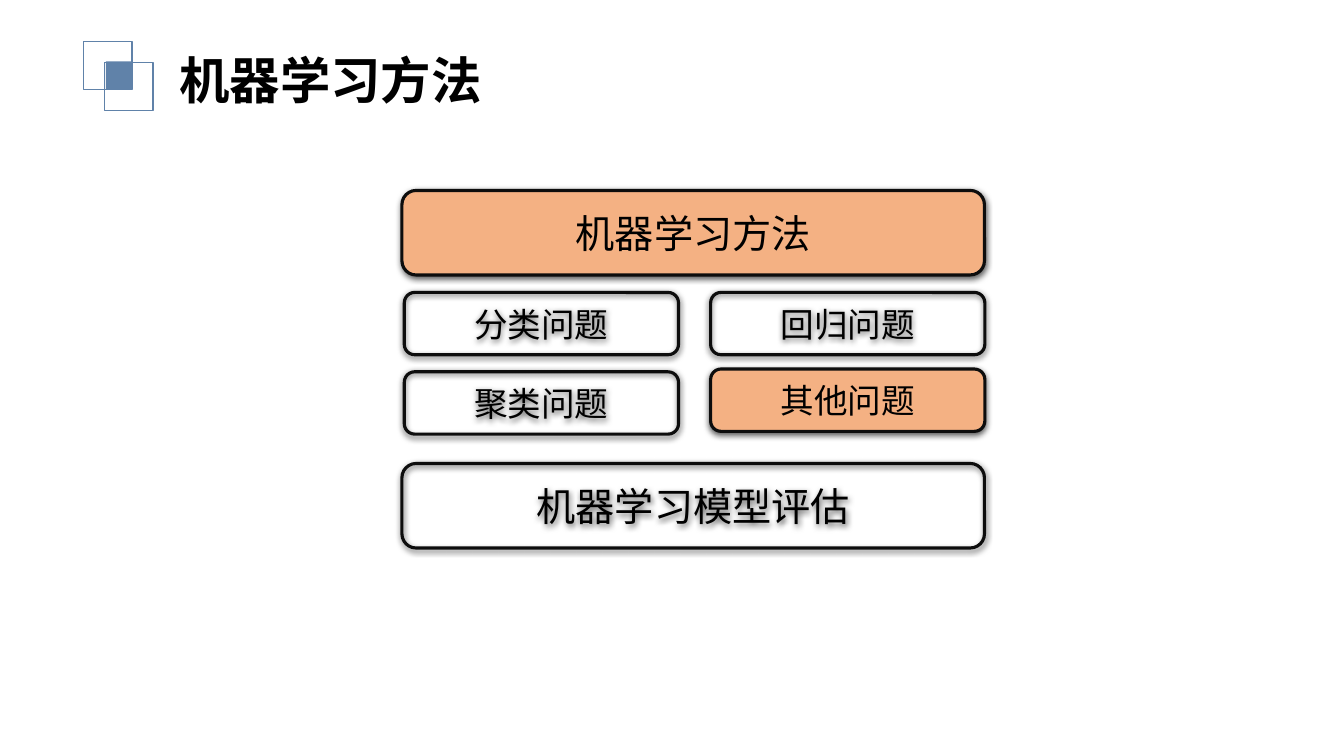
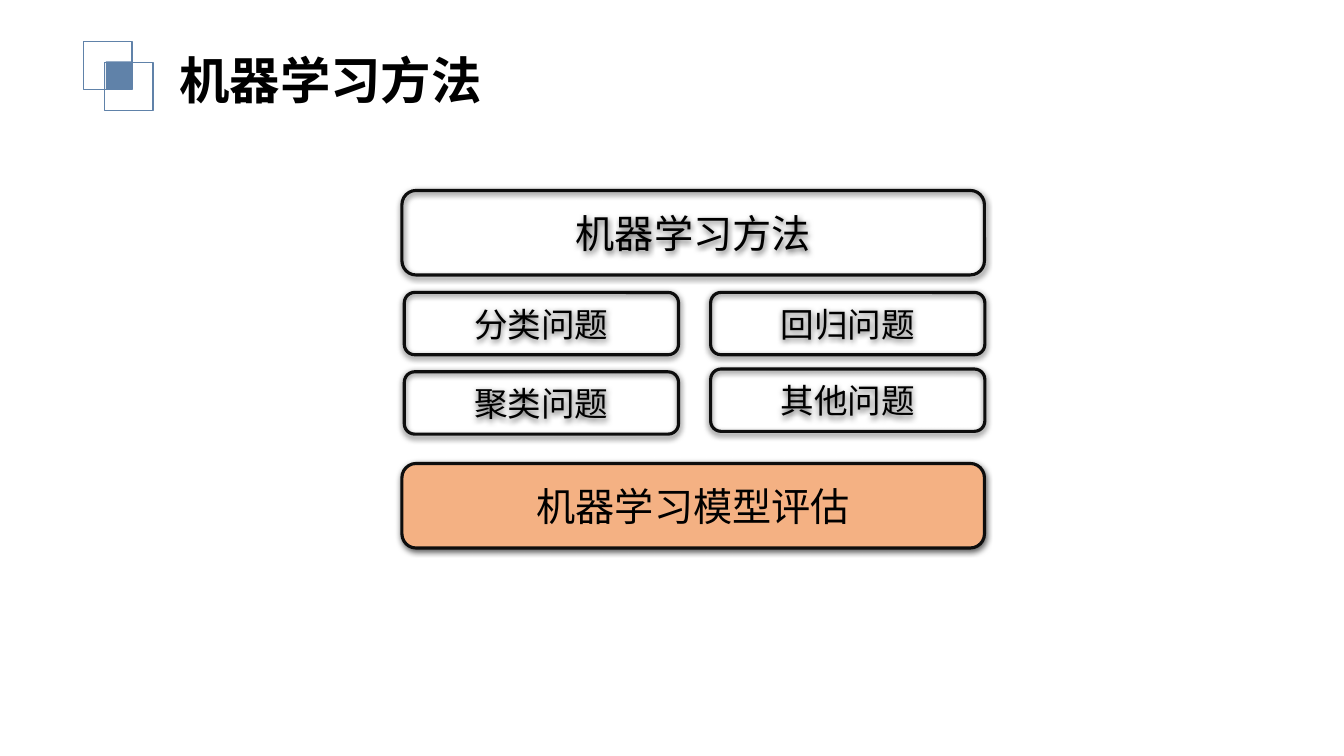
from dataclasses import dataclass

from lxml.etree import SubElement
from pptx import Presentation
from pptx.dml.color import RGBColor
from pptx.enum.shapes import MSO_SHAPE
from pptx.enum.text import MSO_ANCHOR, MSO_AUTO_SIZE, PP_ALIGN
from pptx.oxml.ns import qn
from pptx.shapes.autoshape import Shape
from pptx.slide import Slide
from pptx.text.text import TextFrame
from pptx.util import Cm, Pt


@dataclass(frozen=True)
class Theme:
    font: str = "Noto Sans CJK SC"
    text: str = "000000"
    accent: str = "6082A9"
    highlight: str = "F4B183"
    outline: str = "0D0D0D"
    shadow: str = "000000"
    title_size: float = 36
    bar_size: float = 28
    topic_size: float = 24
    emblem_line: float = 1
    box_line: float = 2.25


@dataclass(frozen=True)
class Frame:
    """A rectangle in centimetres."""
    left: float
    top: float
    width: float
    height: float


@dataclass(frozen=True)
class Box:
    text: str
    frame: Frame
    size: float


THEME = Theme()
TITLE = "机器学习方法"
EVALUATION = "机器学习模型评估"
OTHER = "其他问题"


# Overview layout: two wide bars around a grid of four topics
def bar(text: str, top: float) -> Box:
    return Box(text, Frame(10.13, top, 14.68, 2.13), THEME.bar_size)


def topic(text: str, column: int, top: float) -> Box:
    return Box(text, Frame(10.19 + column * 7.72, top, 6.91, 1.57), THEME.topic_size)


BOXES = (
    bar(TITLE, 4.8),
    topic("分类问题", 0, 7.37),
    topic("回归问题", 1, 7.37),
    topic("聚类问题", 0, 9.37),
    topic(OTHER, 1, 9.3),
    bar(EVALUATION, 11.68),
)

# Highlighted boxes on each slide
HIGHLIGHTS = ({TITLE, OTHER}, {EVALUATION})


# Drawing helpers
def add_box(slide: Slide, kind: MSO_SHAPE, frame: Frame, fill: str | None = None,
            line: str | None = None, line_width: float = 1) -> Shape:
    shape = slide.shapes.add_shape(kind, Cm(frame.left), Cm(frame.top),
                                   Cm(frame.width), Cm(frame.height))
    shape.shadow.inherit = False
    if fill:
        shape.fill.solid()
        shape.fill.fore_color.rgb = RGBColor.from_string(fill)
    else:
        shape.fill.background()
    if line:
        shape.line.color.rgb = RGBColor.from_string(line)
        shape.line.width = Pt(line_width)
    else:
        shape.line.fill.background()
    return shape


def add_shadow(shape: Shape) -> None:
    effects = shape.element.spPr.find(qn("a:effectLst"))
    shadow = SubElement(effects, qn("a:outerShdw"), blurRad=str(Pt(4.5)),
                        dist=str(Pt(1.5)), dir="5400000", algn="ctr", rotWithShape="0")
    color = SubElement(shadow, qn("a:srgbClr"), val=THEME.shadow)
    SubElement(color, qn("a:alpha"), val="63000")


def write(text_frame: TextFrame, text: str, size: float, bold: bool = False,
          alignment: PP_ALIGN = PP_ALIGN.LEFT) -> None:
    paragraph = text_frame.paragraphs[0]
    paragraph.alignment = alignment
    run = paragraph.add_run()
    run.text = text
    run.font.size = Pt(size)
    run.font.bold = bold
    run.font.color.rgb = RGBColor.from_string(THEME.text)
    run.font.name = THEME.font
    # East Asian text takes its own typeface entry
    SubElement(run.font._element, qn("a:ea"), typeface=THEME.font)


# Slide parts
def add_header(slide: Slide) -> None:
    for left, top in ((2.11, 1.04), (2.64, 1.57)):
        add_box(slide, MSO_SHAPE.RECTANGLE, Frame(left, top, 1.22, 1.22),
                line=THEME.accent, line_width=THEME.emblem_line)
    add_box(slide, MSO_SHAPE.RECTANGLE, Frame(2.67, 1.55, 0.64, 0.69), fill=THEME.accent)

    title = slide.shapes.add_textbox(Cm(4.27), Cm(1.12), Cm(9.75), Cm(1.8))
    title.text_frame.word_wrap = True
    title.text_frame.auto_size = MSO_AUTO_SIZE.SHAPE_TO_FIT_TEXT
    write(title.text_frame, TITLE, THEME.title_size, bold=True)


def add_overview(slide: Slide, highlighted: set[str]) -> None:
    for box in BOXES:
        fill = THEME.highlight if box.text in highlighted else None
        shape = add_box(slide, MSO_SHAPE.ROUNDED_RECTANGLE, box.frame, fill,
                        THEME.outline, THEME.box_line)
        add_shadow(shape)
        shape.text_frame.vertical_anchor = MSO_ANCHOR.MIDDLE
        write(shape.text_frame, box.text, box.size, alignment=PP_ALIGN.CENTER)


def main() -> None:
    presentation = Presentation()
    presentation.slide_width = Cm(33.87)
    presentation.slide_height = Cm(19.05)
    blank_layout = presentation.slide_layouts[6]
    for highlighted in HIGHLIGHTS:
        slide = presentation.slides.add_slide(blank_layout)
        add_header(slide)
        add_overview(slide, highlighted)
    presentation.save("out.pptx")


if __name__ == "__main__":
    main()
